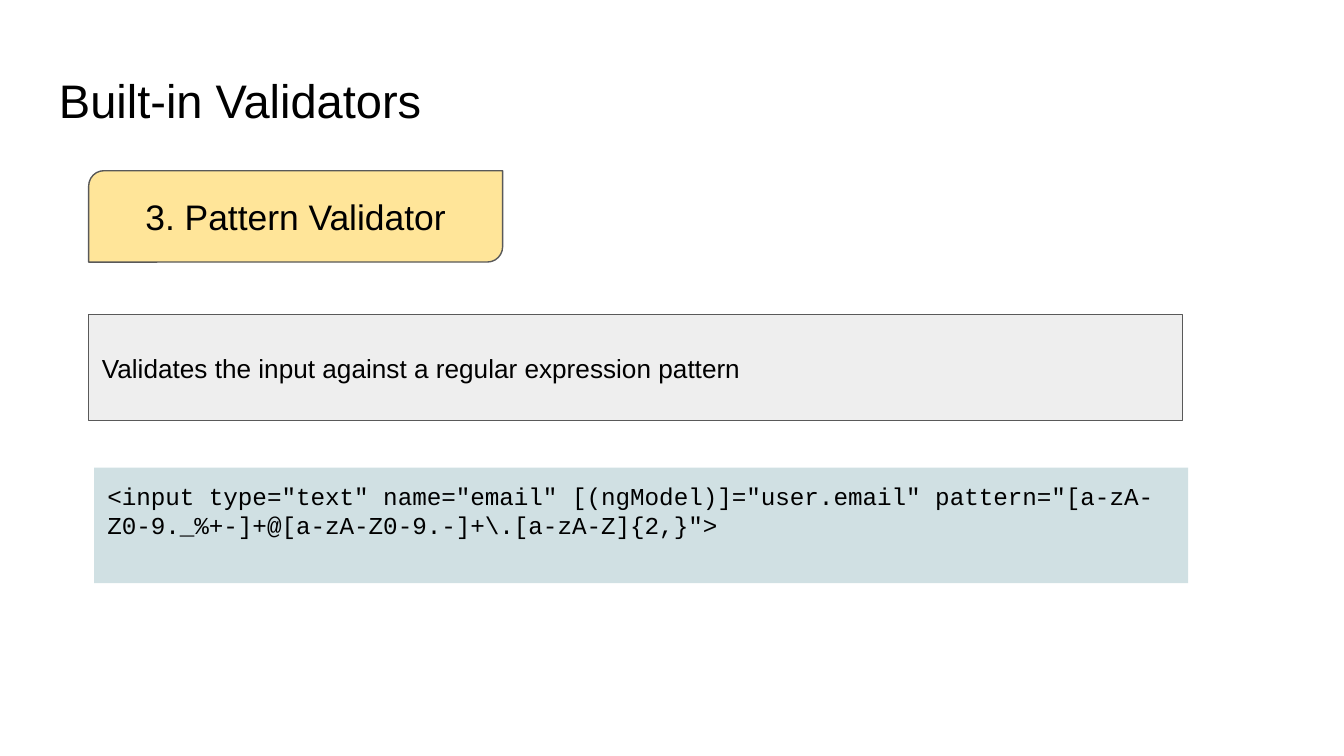
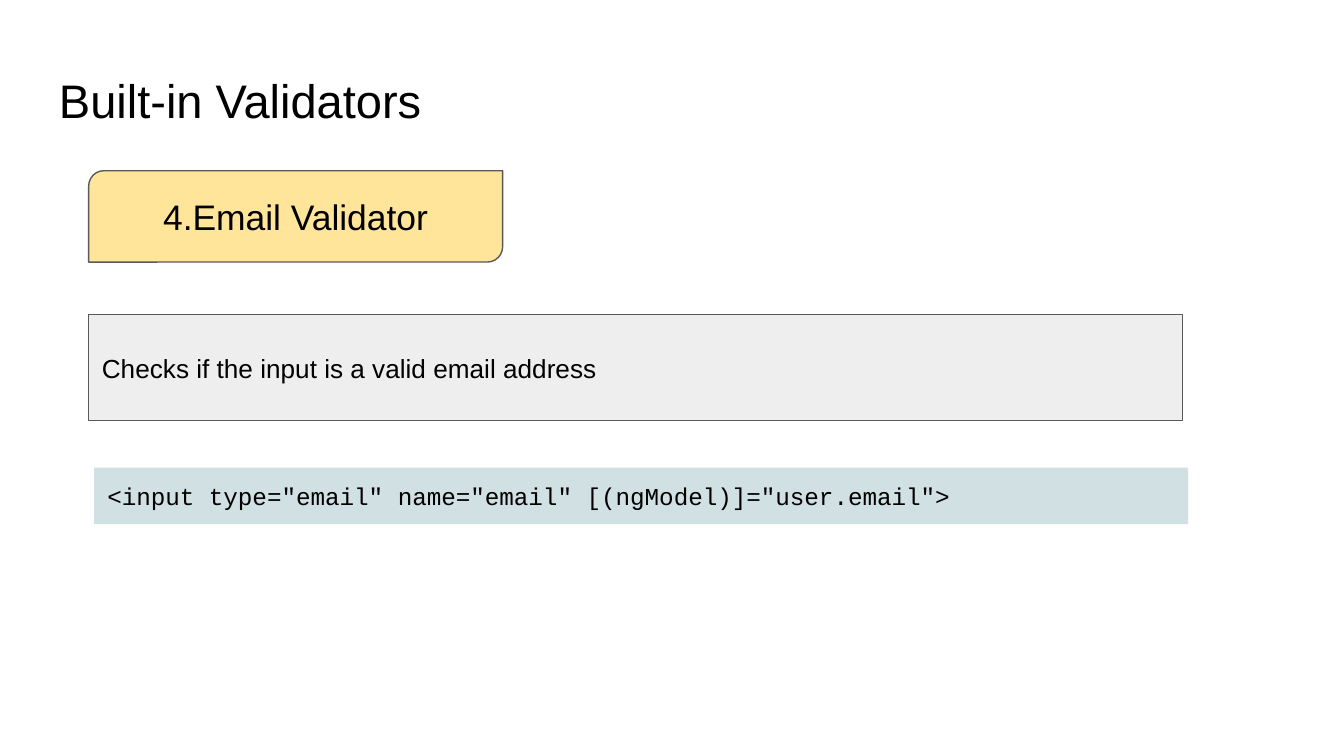
from pptx import Presentation
from pptx import util as u
from pptx.dml.color import RGBColor
from pptx.enum import shapes, text

TITLE = "Built-in Validators"
VALIDATORS = [
    {
        "name": "3. Pattern Validator",
        "summary": "Validates the input against a regular expression pattern",
        "code": r'<input type="text" name="email" [(ngModel)]="user.email" pattern="[a-zA-Z0-9._%+-]+@[a-zA-Z0-9.-]+\.[a-zA-Z]{2,}">',
        "code_height": 0.86,
    },
    {
        "name": "4.Email Validator",
        "summary": "Checks if the input is a valid email address",
        "code": '<input type="email" name="email" [(ngModel)]="user.email">',
        "code_height": 0.42,
    },
]

BLACK, BORDER = "000000", "595959"
YELLOW, GREY, TEAL = "FFE599", "EEEEEE", "D0E0E3"
RECT = shapes.MSO_SHAPE.RECTANGLE
TAB = shapes.MSO_SHAPE.ROUND_2_DIAG_RECTANGLE
TOP, MIDDLE = text.MSO_ANCHOR.TOP, text.MSO_ANCHOR.MIDDLE
LEFT, CENTER = text.PP_ALIGN.LEFT, text.PP_ALIGN.CENTER
BOX_LEFT, BOX_WIDTH = 0.66, 8.14


def rgb(value):
    return RGBColor.from_string(value)


def write(sp, words, size, font="Arial", anchor=TOP, align=LEFT):
    tf = sp.text_frame
    tf.word_wrap = True
    tf.vertical_anchor = anchor
    tf.margin_left = tf.margin_right = tf.margin_top = tf.margin_bottom = u.Inches(0.1)
    p = tf.paragraphs[0]
    p.text = words
    p.alignment = align
    p.font.size = u.Pt(size)
    p.font.name = font
    p.font.color.rgb = rgb(BLACK)


def add_box(s, kind, at, fill, line=None):
    sp = s.shapes.add_shape(kind, *map(u.Inches, at))
    sp.shadow.inherit = False
    sp.fill.solid()
    sp.fill.fore_color.rgb = rgb(fill)
    if line:
        sp.line.color.rgb = rgb(line)
        sp.line.width = u.Pt(0.75)
    else:
        sp.line.fill.background()
    return sp


def add_validator(prs, item):
    s = prs.slides.add_slide(prs.slide_layouts[6])
    title = s.shapes.add_textbox(*map(u.Inches, (0.34, 0.43, 9.32, 0.63)))
    write(title, TITLE, 25.2)

    code = add_box(s, RECT, (0.7, 3.48, BOX_WIDTH, item["code_height"]), TEAL)
    write(code, item["code"], 13, font="Courier New")

    summary = add_box(s, RECT, (BOX_LEFT, 2.34, BOX_WIDTH, 0.79), GREY, BORDER)
    write(summary, item["summary"], 14, anchor=MIDDLE)

    name = add_box(s, TAB, (BOX_LEFT, 1.27, 3.08, 0.68), YELLOW, BORDER)
    name.adjustments[0] = 0.167
    name.adjustments[1] = 0
    write(name, item["name"], 19, anchor=MIDDLE, align=CENTER)


def main():
    prs = Presentation()
    prs.slide_width = u.Inches(10)
    prs.slide_height = prs.slide_width * 9 // 16
    for item in VALIDATORS:
        add_validator(prs, item)
    prs.save("out.pptx")


if __name__ == "__main__":
    main()
